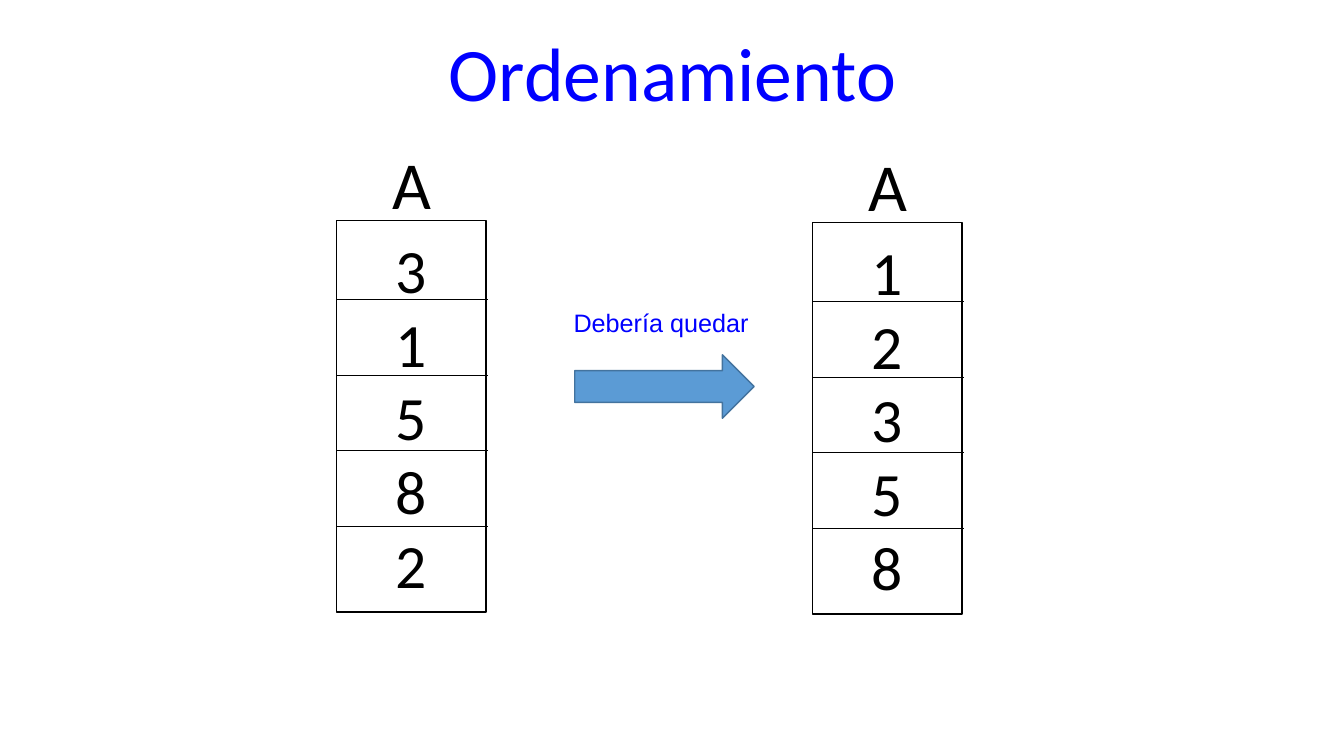
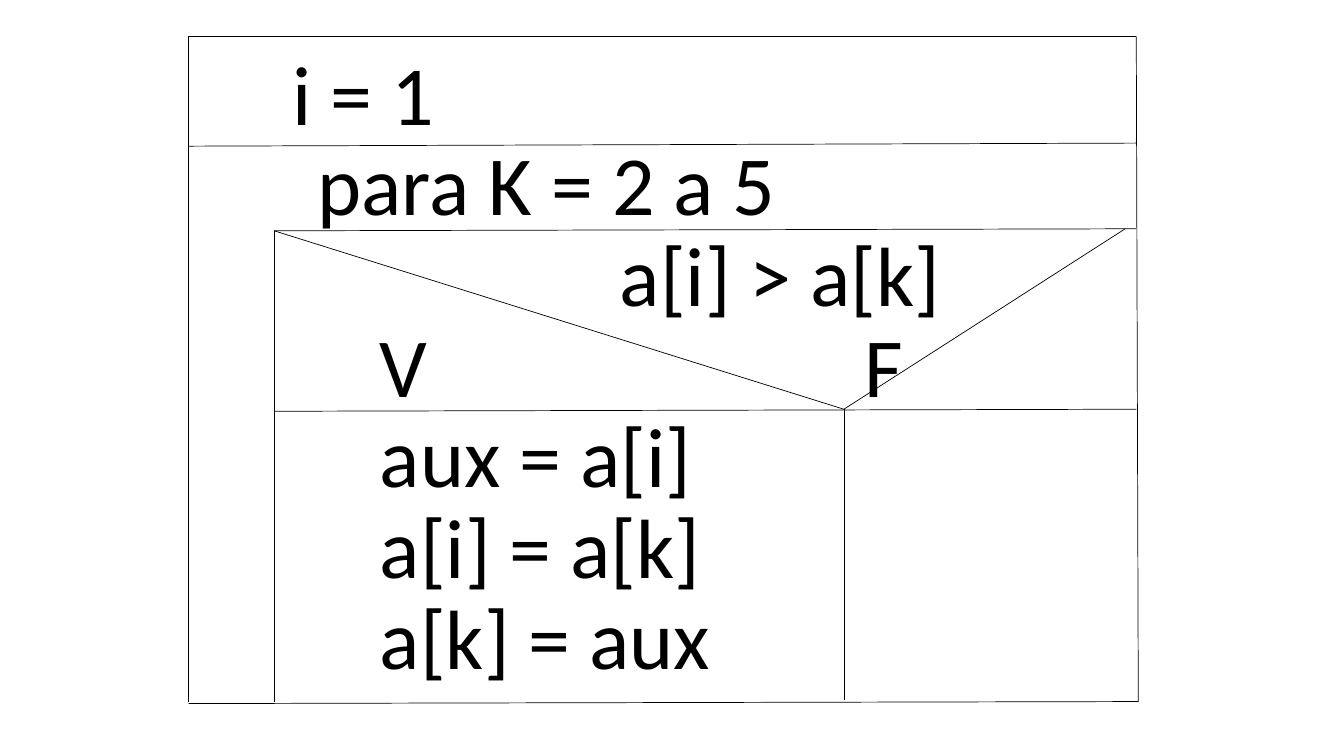
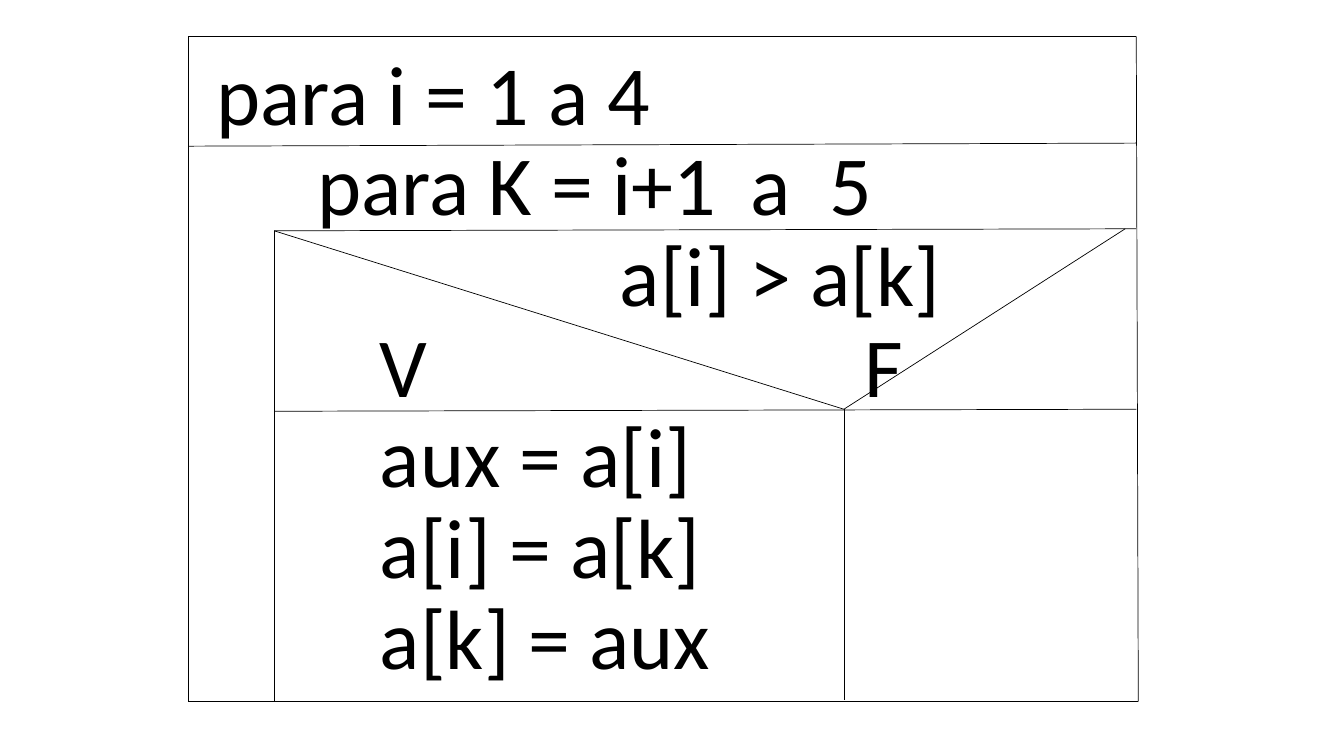
from pptx import Presentation
from pptx.dml.color import RGBColor
from pptx.enum.shapes import MSO_CONNECTOR, MSO_SHAPE
from pptx.enum.text import MSO_ANCHOR, PP_ALIGN
from pptx.oxml.ns import qn
from pptx.util import Pt
from lxml import etree

STRAIGHT = MSO_CONNECTOR.STRAIGHT
RECTANGLE, RIGHT_ARROW = MSO_SHAPE.RECTANGLE, MSO_SHAPE.RIGHT_ARROW
TOP, MIDDLE, BOTTOM = MSO_ANCHOR.TOP, MSO_ANCHOR.MIDDLE, MSO_ANCHOR.BOTTOM
LEFT, CENTER = PP_ALIGN.LEFT, PP_ALIGN.CENTER

BLACK = RGBColor(0x00, 0x00, 0x00)
BLUE = RGBColor(0x00, 0x00, 0xFF)
ARROW_FILL = RGBColor(0x5B, 0x9B, 0xD5)
ARROW_LINE = RGBColor(0x43, 0x73, 0x9E)
FONT = "Calibri"
LABEL_FONT = "Arial"

EMU_PER_PX = 9144
SLIDE_WIDTH, SLIDE_HEIGHT = 1333, 750

TITLE = "Ordenamiento"
ARROW_LABEL = "Debería quedar"
ARRAYS = [
    (334, 219, "A", ["3", "1", "5", "8", "2"]),
    (806, 221, "A", ["1", "2", "3", "5", "8"]),
]
ARRAY_WIDTH, ARRAY_HEIGHT = 148, 388
DIVIDER_WIDTH, FIRST_DIVIDER, DIVIDER_STEP = 150, 78, 75

COMMON_STEPS = [
    [(438, "a[i] > a[k]")],
    [(200, "V"), (681, "F")],
    [(200, "aux = a[i]")],
    [(200, "a[i] = a[k]")],
    [(200, "a[k] = aux")],
]
DIAGRAMS = [
    {"bottom_left": 698,
     "steps": [[(113, "i = 1")], [(138, "para K = 2 a 5")]]},
    {"bottom_left": 696,
     "steps": [[(38, "para i = 1 a 4")],
               [(138, "para K = i+1"), (568, "a"), (646, "5")]]},
]
OUTER, INNER, SPLIT, RIGHT = 187, 272, 837, 1127
TOP_EDGE, LOOP_TOP, BOTTOM_EDGE = 36, 229, 696
DIAGRAM_LINES = [
    (INNER, LOOP_TOP, RIGHT, 227),
    (INNER, 408, RIGHT, 406),
    (INNER, LOOP_TOP, SPLIT, 406),
    (SPLIT, 406, 1116, 227),
    (INNER, LOOP_TOP, INNER, BOTTOM_EDGE),
    (RIGHT, TOP_EDGE, 1129, BOTTOM_EDGE),
    (SPLIT, 406, SPLIT, 694),
    (OUTER, TOP_EDGE, RIGHT, TOP_EDGE),
    (OUTER, 145, RIGHT, 142),
    (OUTER, TOP_EDGE, OUTER, BOTTOM_EDGE),
]


def px(*lengths):
    return [length * EMU_PER_PX for length in lengths]


def add_tab_stops(paragraph, positions):
    tab_list = etree.SubElement(paragraph._p.get_or_add_pPr(), qn("a:tabLst"))
    for position in px(*positions):
        etree.SubElement(tab_list, qn("a:tab"), pos=str(position), algn="l")


def write(shape, lines, size, color=BLACK, font=FONT, align=CENTER,
          anchor=TOP, wrap=True, spacing=None, stops=None):
    frame = shape.text_frame
    frame.word_wrap = wrap
    frame.vertical_anchor = anchor
    frame.text = "\n".join(lines)
    for index, paragraph in enumerate(frame.paragraphs):
        if stops:
            add_tab_stops(paragraph, stops[index])
        paragraph.alignment = align
        if spacing:
            paragraph.line_spacing = spacing
        for run in paragraph.runs:
            run.font.name = font
            run.font.size = Pt(size)
            run.font.color.rgb = color


def add_text(slide, box, lines, size, **style):
    write(slide.shapes.add_textbox(*px(*box)), lines, size, **style)


def add_line(slide, ends):
    line = slide.shapes.add_connector(STRAIGHT, *px(*ends))
    line.line.color.rgb = BLACK
    line.line.width = Pt(0.5)
    etree.SubElement(line._element.spPr, qn("a:effectLst"))


def add_box(slide, kind, box, line_color, fill=None):
    shape = slide.shapes.add_shape(kind, *px(*box))
    shape.shadow.inherit = False
    if fill is None:
        shape.fill.background()
    else:
        shape.fill.solid()
        shape.fill.fore_color.rgb = fill
    shape.line.color.rgb = line_color
    shape.line.width = Pt(1)
    return shape


def add_array(slide, left, top, name, values):
    shape = add_box(slide, RECTANGLE, (left, top, ARRAY_WIDTH, ARRAY_HEIGHT), BLACK)
    write(shape, values, 44, anchor=MIDDLE)
    for row in range(len(values) - 1):
        y = top + FIRST_DIVIDER + row * DIVIDER_STEP
        add_line(slide, (left, y, left + DIVIDER_WIDTH, y))
    add_text(slide, (left + 45, top - 83, 59, 91), [name], 48, wrap=False)


def add_array_slide(slide):
    add_text(slide, (167, 24, 1000, 98), [TITLE], 54, color=BLUE,
             anchor=BOTTOM, spacing=0.9)
    for array in ARRAYS:
        add_array(slide, *array)
    add_box(slide, RIGHT_ARROW, (570, 352, 178, 63), ARROW_LINE, ARROW_FILL)
    add_text(slide, (559, 300, 194, 40), [ARROW_LABEL], 18, color=BLUE,
             font=LABEL_FONT, align=LEFT)


def add_diagram_slide(slide, diagram):
    steps = diagram["steps"] + COMMON_STEPS
    lines = ["".join("\t" + text for _, text in step) for step in steps]
    stops = [[position for position, _ in step] for step in steps]
    add_text(slide, (167, 24, 1000, 663), lines, 60, align=LEFT,
             anchor=BOTTOM, spacing=0.9, stops=stops)
    add_line(slide, (OUTER, diagram["bottom_left"], 1129, BOTTOM_EDGE))
    for ends in DIAGRAM_LINES:
        add_line(slide, ends)


def main():
    presentation = Presentation()
    presentation.slide_width, presentation.slide_height = px(SLIDE_WIDTH, SLIDE_HEIGHT)
    blank = presentation.slide_layouts[6]
    add_array_slide(presentation.slides.add_slide(blank))
    for diagram in DIAGRAMS:
        add_diagram_slide(presentation.slides.add_slide(blank), diagram)
    presentation.save("out.pptx")


if __name__ == "__main__":
    main()
